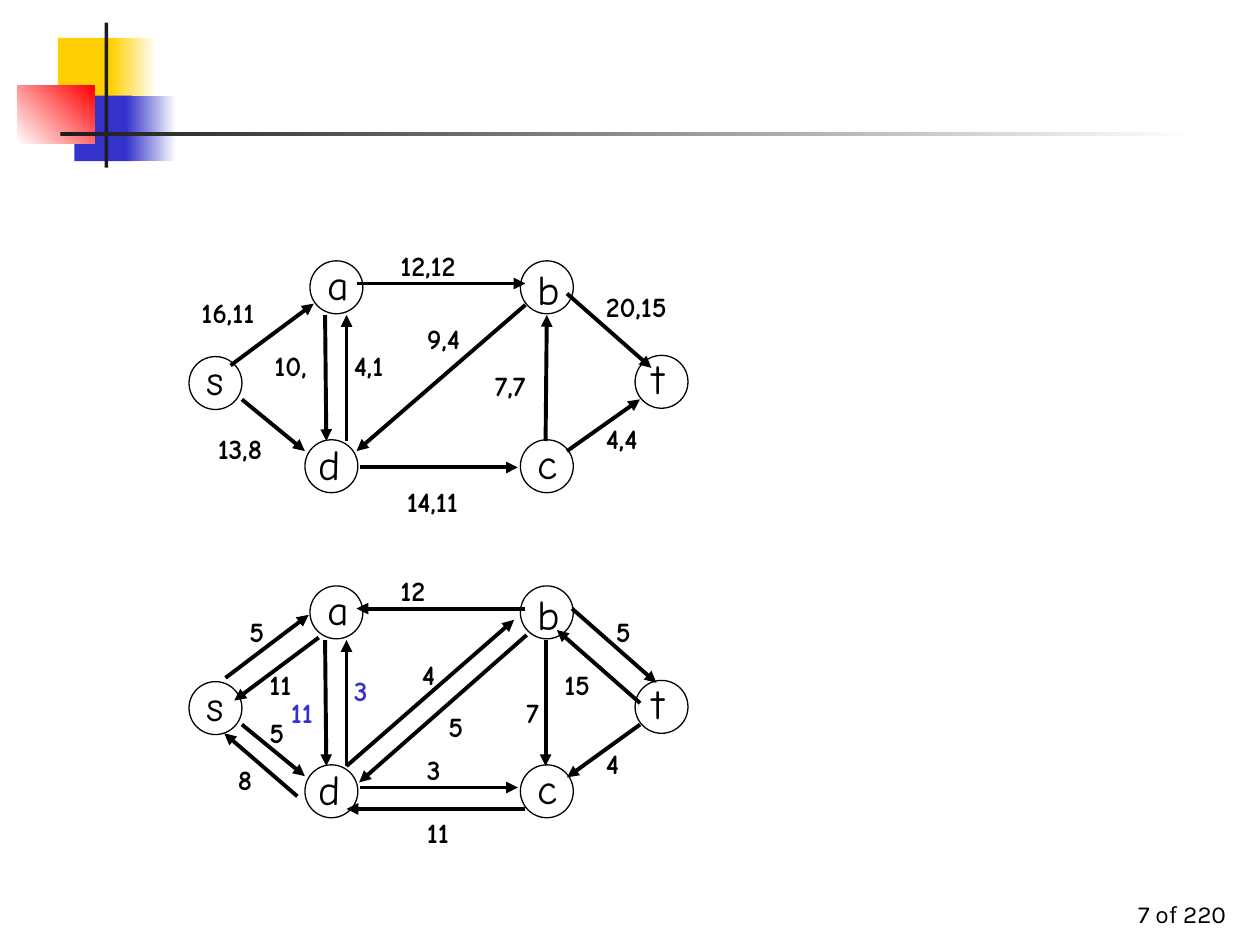
from dataclasses import dataclass
from typing import Any, NamedTuple, Optional

from lxml.etree import SubElement
from pptx import Presentation
from pptx.dml.color import RGBColor as Rgb
from pptx.enum.shapes import MSO_CONNECTOR as Conn, MSO_SHAPE as Kind
from pptx.enum.text import MSO_ANCHOR as Anchor, MSO_AUTO_SIZE as Size, PP_ALIGN as Align
from pptx.oxml.ns import qn
from pptx.util import Inches, Pt


@dataclass(frozen=True)
class Theme:
    ink: str = "000000"
    blue: str = "3333CC"
    gold: str = "FFCF01"
    red: str = "FF0000"
    dark: str = "1C1C1C"
    white: str = "FFFFFF"
    hand: str = "Comic Neue"
    sans: str = "Karla"
    node: int = 24
    label: int = 16
    foot: int = 14
    thin: float = 0.75
    thick: float = 2.25


T = Theme()


class Bar(NamedTuple):
    x: float
    y: float
    w: float
    h: float
    color: str
    end: Optional[str] = None
    angle: float = 0


class Node(NamedTuple):
    name: str
    x: float
    y: float
    tx: float
    ty: float


class Edge(NamedTuple):
    x1: float
    y1: float
    x2: float
    y2: float


class Label(NamedTuple):
    text: str
    x: float
    y: float
    w: float = 1.12
    color: str = T.ink


class Net(NamedTuple):
    drop: float
    edges: list[Edge]
    labels: list[Label]


BARS = [
    Bar(0.46, 0.3, 0.48, 0.52, T.gold),
    Bar(0.88, 0.3, 0.36, 0.52, T.gold, T.white),
    Bar(0.59, 0.76, 0.46, 0.52, T.blue),
    Bar(1, 0.76, 0.4, 0.52, T.blue, T.white),
    Bar(0.14, 0.68, 0.61, 0.46, T.white, T.red, 45),
    Bar(0.83, 0.18, 0.03, 1.15, T.dark),
    Bar(0.48, 1.05, 9, 0.03, T.dark, T.white),
]

NODES = [
    Node("s", 1.5, 2.83, 1.54, 2.76),
    Node("a", 2.46, 2.07, 2.5, 2),
    Node("d", 2.42, 3.49, 2.43, 3.43),
    Node("b", 4.13, 2.07, 4.17, 2.04),
    Node("c", 4.13, 3.49, 4.17, 3.42),
    Node("t", 5.04, 2.82, 5.08, 2.75),
]

# Edges that both networks have: a-d, d-a, s-d
SHARED = [
    Edge(2.58, 2.5, 2.59, 3.5),
    Edge(2.75, 3.5, 2.75, 2.5),
    Edge(1.92, 3.17, 2.42, 3.58),
]

FLOW = Net(0, [
    Edge(1.83, 2.9, 2.49, 2.41),
    Edge(2.86, 3.71, 4.11, 3.71),
    Edge(2.83, 2.25, 4.17, 2.25),
    Edge(4.33, 3.5, 4.34, 2.5),
    Edge(4.5, 2.33, 5.17, 2.92),
    Edge(4.5, 3.58, 5.08, 3.17),
    Edge(4.17, 2.42, 2.83, 3.58),
], [
    Label("16,11", 1.5, 2.3), Label("13,8", 1.63, 3.38),
    Label("10,", 2.08, 2.72), Label("4,1", 2.71, 2.72),
    Label("12,12", 3.08, 1.92), Label("20,15", 4.71, 2.25),
    Label("7,7", 3.83, 2.88), Label("9,4", 3.29, 2.5),
    Label("14,11", 3.13, 3.8), Label("4,4", 4.71, 3.3),
])

REST = Net(2.58, [
    Edge(1.79, 2.8, 2.45, 2.3),
    Edge(2.86, 3.67, 4.11, 3.67),
    Edge(4.54, 2.25, 5.21, 2.84),
    Edge(4.18, 2.46, 2.85, 3.63),
    Edge(2.53, 2.48, 1.86, 2.98),
    Edge(2.36, 3.74, 1.78, 3.24),
    Edge(2.75, 3.5, 4.08, 2.34),
    Edge(4.33, 2.5, 4.33, 3.5),
    Edge(4.17, 3.84, 2.75, 3.84),
    Edge(5.08, 3.17, 4.5, 3.59),
    Edge(5.08, 3, 4.42, 2.42),
    Edge(4.17, 2.25, 2.83, 2.25),
], [
    Label("5", 1.88, 2.25), Label("5", 2.04, 3.05, 0.37),
    Label("11", 2.04, 2.67, 0.54), Label("3", 2.71, 2.72, 0.29, T.blue),
    Label("12", 3.08, 1.92), Label("5", 4.79, 2.25),
    Label("7", 4.08, 2.89, 0.42), Label("5", 3.46, 3, 0.29),
    Label("3", 3.29, 3.34), Label("4", 4.71, 3.3),
    Label("8", 1.79, 3.42, 0.37), Label("11", 2.21, 2.89, 0.54, T.blue),
    Label("4", 3.25, 2.59, 0.29), Label("11", 3.29, 3.84),
    Label("15", 4.38, 2.67),
])


def put(item: Any, form: dict[str, Any]) -> None:
    for key, value in form.items():
        setattr(item, key, value)


def write(shapes: Any, text: str, box: tuple, font: dict, color: str = T.ink,
          frame: Optional[dict] = None, para: Optional[dict] = None) -> None:
    """Add a wrapped text box; box is left, top, width, height in inches."""
    tf = shapes.add_textbox(*map(Inches, box)).text_frame
    put(tf, {"word_wrap": True} | (frame or {"auto_size": Size.SHAPE_TO_FIT_TEXT}))
    line = tf.paragraphs[0]
    put(line, para or {})
    run = line.add_run()
    run.text = text
    put(run.font, font)
    run.font.color.rgb = Rgb.from_string(color)


def draw_bar(shapes: Any, bar: Bar) -> None:
    shape = shapes.add_shape(Kind.RECTANGLE, *map(Inches, bar[:4]))
    shape.shadow.inherit = False
    shape.line.fill.background()
    fill = shape.fill
    if bar.end is None:
        fill.solid()
        fill.fore_color.rgb = Rgb.from_string(bar.color)
        return
    fill.gradient()
    fill.gradient_angle = bar.angle
    for stop, color in zip(fill.gradient_stops, (bar.color, bar.end)):
        stop.color.rgb = Rgb.from_string(color)


def draw_node(shapes: Any, node: Node, drop: float) -> None:
    ring = shapes.add_shape(Kind.OVAL, *map(Inches, (node.x, node.y + drop, 0.42, 0.42)))
    ring.shadow.inherit = False
    ring.fill.background()
    ring.line.color.rgb = Rgb.from_string(T.ink)
    ring.line.width = Pt(T.thin)
    write(shapes, node.name, (node.tx, node.ty + drop, 0.5, 0.5),
          {"name": T.hand, "size": Pt(T.node)}, para={"space_before": Pt(15)})


def draw_edge(shapes: Any, edge: Edge, drop: float) -> None:
    ends = (edge.x1, edge.y1 + drop, edge.x2, edge.y2 + drop)
    arrow = shapes.add_connector(Conn.STRAIGHT, *map(Inches, ends))
    arrow.line.color.rgb = Rgb.from_string(T.ink)
    arrow.line.width = Pt(T.thick)
    props = arrow._element.spPr
    SubElement(props.find(qn("a:ln")), qn("a:tailEnd"), type="triangle")
    SubElement(props, qn("a:effectLst"))


def draw_net(shapes: Any, net: Net) -> None:
    for node in NODES:
        draw_node(shapes, node, net.drop)
    for edge in SHARED + net.edges:
        draw_edge(shapes, edge, net.drop)
    for tag in net.labels:
        write(shapes, tag.text, (tag.x, tag.y + net.drop, tag.w, 0.37),
              {"name": T.hand, "size": Pt(T.label), "bold": True}, tag.color,
              para={"space_before": Pt(10)})


def main() -> None:
    deck = Presentation()
    put(deck, {"slide_width": Inches(10), "slide_height": Inches(7.5)})
    shapes = deck.slides.add_slide(deck.slide_layouts[6]).shapes
    for bar in BARS:
        draw_bar(shapes, bar)
    write(shapes, "7 of 220", (7.75, 6.92, 2.08, 0.5),
          {"name": T.sans, "size": Pt(T.foot)},
          frame={"vertical_anchor": Anchor.BOTTOM}, para={"alignment": Align.RIGHT})
    draw_net(shapes, FLOW)
    draw_net(shapes.add_group_shape().shapes, REST)
    deck.save("out.pptx")


if __name__ == "__main__":
    main()
